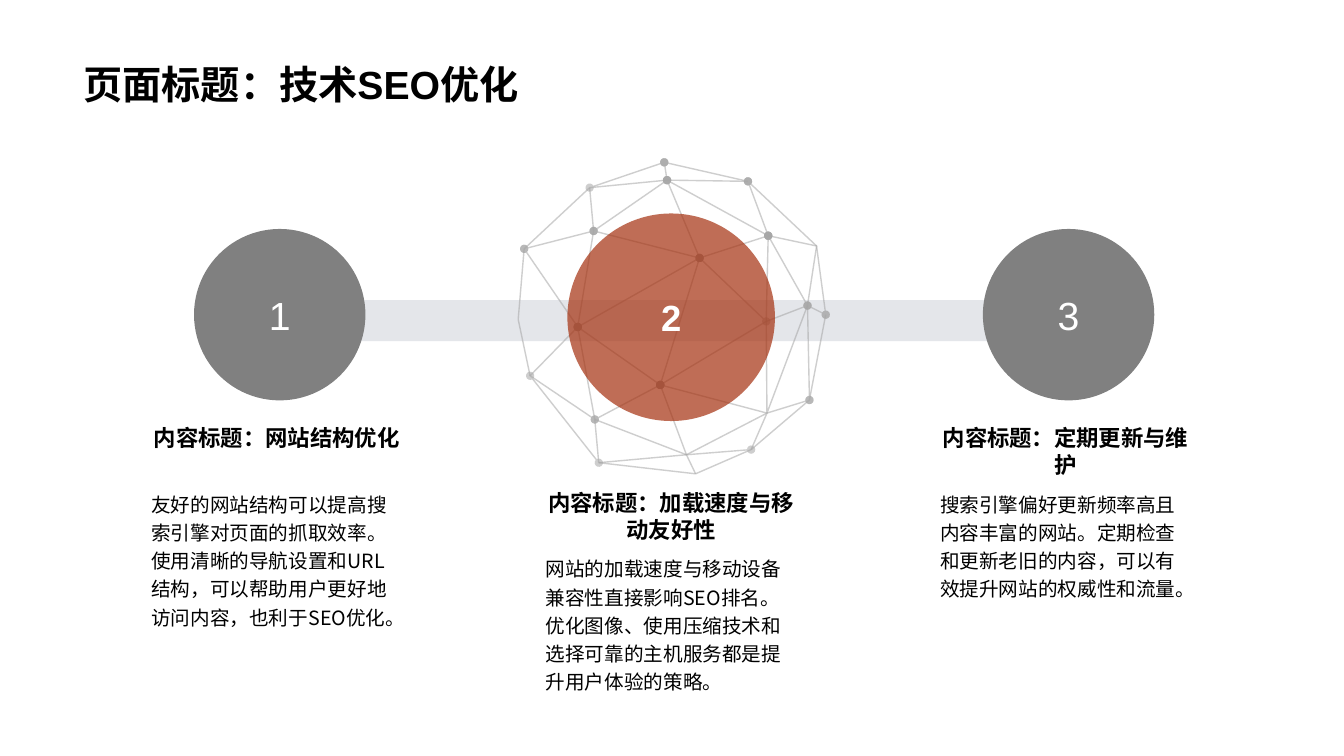
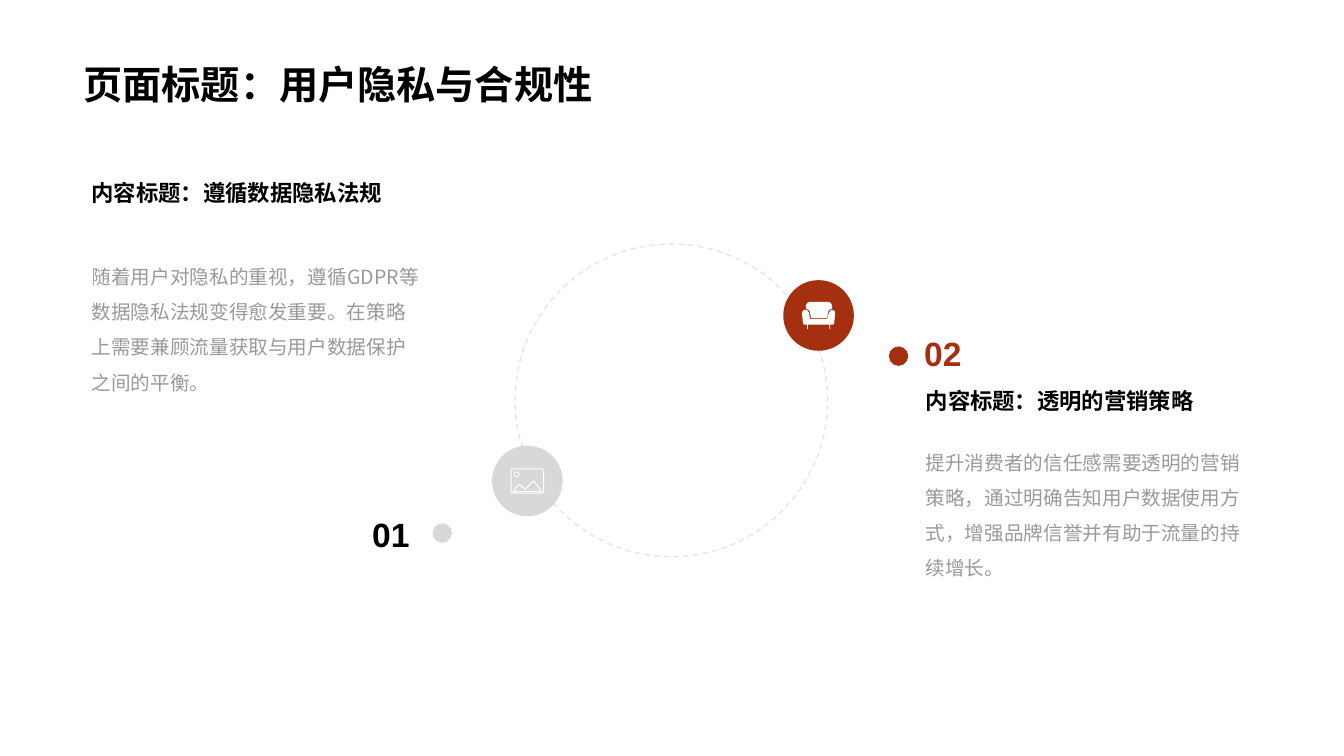
from lxml import etree
from pptx import Presentation
from pptx import util as u
from pptx.dml.color import RGBColor
from pptx.enum import dml, shapes, text
from pptx.oxml import ns

COLORS = {"ink": "000000", "white": "FFFFFF", "accent": "A5300F", "gray": "808080",
          "band": "E4E6EA", "mesh": "A6A6A6", "pale": "D8D8D8"}
LATIN, CJK = "Arial", "Noto Sans CJK SC"
LEFT, CENTER, RIGHT = text.PP_ALIGN.LEFT, text.PP_ALIGN.CENTER, text.PP_ALIGN.RIGHT
KIND = shapes.MSO_SHAPE

# Mesh points in cm from the top left of the mesh
MESH_POINTS = {
    "a": (3.68, 0), "b": (5.79, 0.48), "c": (7.52, 2.11), "d": (7.75, 3.84),
    "e": (7.34, 5.99), "f": (5.87, 7.24), "g": (4.47, 7.85), "h": (2.03, 7.57),
    "i": (0.3, 5.38), "j": (0, 3.96), "k": (0.15, 2.18), "l": (1.8, 0.64),
    "m": (3.75, 0.45), "n": (1.9, 1.73), "o": (1.5, 4.15), "p": (1.93, 6.48),
    "q": (3.58, 5.61), "r": (4.24, 7.37), "s": (4.57, 2.41), "t": (6.3, 1.85),
    "u": (6.25, 4.01), "v": (7.29, 3.61), "w": (6.27, 6.32)}
# Each strand runs through its points; a star marks an end with a dot
MESH_STRANDS = (
    "*ba* *dcb* hgfed *ih* kji *al* lmb oph lno* *qrg *msq* *am* lk *dv* *tb* *vt* *ev "
    "*qwe* *oq* *ko* *nk* *mn* *tm* vct *tuwv *st* *os* *pio* *qp* *vuq* *frh prwf "
    "*su* *ns*").split()

SOFA_SIZE = (0.84, 0.69)
SOFA_BACK = [(0.2, 0), (0.66, 0), (0.73, 0.03), (0.76, 0.1), (0.76, 0.18), (0.69, 0.2),
             (0.66, 0.25), (0.64, 0.41), (0.23, 0.41), (0.2, 0.25), (0.17, 0.2),
             (0.1, 0.18), (0.1, 0.1), (0.13, 0.03)]
SOFA_SEAT = [(0.08, 0.2), (0.14, 0.22), (0.18, 0.28), (0.2, 0.43), (0.64, 0.43),
             (0.68, 0.28), (0.72, 0.22), (0.76, 0.2), (0.82, 0.23), (0.84, 0.28),
             (0.81, 0.56), (0.76, 0.58), (0.71, 0.58), (0.71, 0.69), (0.69, 0.69),
             (0.69, 0.58), (0.15, 0.58), (0.15, 0.69), (0.13, 0.69), (0.13, 0.58),
             (0.08, 0.58), (0.03, 0.56), (0, 0.28), (0.02, 0.23)]
PHOTO_SIZE = (0.82, 0.61)
PHOTO_HILLS = [(0.05, 0.57), (0.2, 0.39), (0.36, 0.51), (0.57, 0.3), (0.77, 0.57)]


def rgb(name):
    return RGBColor.from_string(COLORS[name])


def set_opacity(element, percent):
    for color in element.iter(ns.qn("a:srgbClr")):
        etree.SubElement(color, ns.qn("a:alpha")).set("val", str(percent * 1000))


def paint(shape, fill=None, line=None, weight=1):
    if fill:
        shape.fill.solid()
        shape.fill.fore_color.rgb = rgb(fill)
    else:
        shape.fill.background()
    if line:
        shape.line.color.rgb = rgb(line)
        shape.line.width = u.Pt(weight)
    else:
        shape.line.fill.background()
    shape.shadow.inherit = False
    return shape


def write(frame, words, size, color="ink", bold=False, align=LEFT, spacing=1.0, opacity=None):
    frame.text = words
    frame.word_wrap = True
    paragraph = frame.paragraphs[0]
    paragraph.alignment = align
    paragraph.line_spacing = spacing
    run = paragraph.runs[0]
    font = run.font
    font.size, font.bold, font.color.rgb = u.Pt(size), bold, rgb(color)
    font.name = LATIN if words.isascii() else CJK
    etree.SubElement(run._r.get_or_add_rPr(), ns.qn("a:ea")).set("typeface", CJK)
    if opacity:
        set_opacity(run._r, opacity)
    return run


def add_words(slide, left, top, width, height, words, size, **style):
    box = slide.shapes.add_textbox(u.Cm(left), u.Cm(top), u.Cm(width), u.Cm(height))
    write(box.text_frame, words, size, **style)
    return box.text_frame


def add_block(parent, kind, left, top, width, height, **look):
    block = parent.shapes.add_shape(kind, u.Cm(left), u.Cm(top), u.Cm(width), u.Cm(height))
    return paint(block, **look)


def add_disc(parent, left, top, size, **look):
    return add_block(parent, KIND.OVAL, left, top, size, size, **look)


def add_outline(parent, left, top, points, close=True, **look):
    spots = [(u.Cm(left + x), u.Cm(top + y)) for x, y in points]
    builder = parent.shapes.build_freeform(*spots[0])
    builder.add_line_segments(spots[1:], close=close)
    return paint(builder.convert_to_shape(), **look)


def add_titled_slide(deck, title, latin):
    slide = deck.slides.add_slide(deck.slide_layouts[5])
    heading = slide.shapes.title
    heading.left, heading.top = u.Cm(1.85), u.Cm(0)
    heading.width, heading.height = u.Cm(30.15), u.Cm(2.84)
    frame = heading.text_frame
    frame.auto_size = text.MSO_AUTO_SIZE.NONE
    frame.vertical_anchor = text.MSO_ANCHOR.BOTTOM
    write(frame, title, 28, bold=True, spacing=0.9).font.name = latin
    return slide


def add_strand(mesh, left, top, strand):
    points = [MESH_POINTS[name] for name in strand.strip("*")]
    if len(points) == 2:
        ends = [u.Cm(v) for x, y in points for v in (left + x, top + y)]
        wire = mesh.shapes.add_connector(shapes.MSO_CONNECTOR.STRAIGHT, *ends)
        wire.line.color.rgb = rgb("mesh")
        wire.line.width = u.Pt(1)
        etree.SubElement(wire._element.spPr, ns.qn("a:effectLst"))
    else:
        wire = add_outline(mesh, left, top, points, close=False, line="mesh")
    line = wire.line._get_or_add_ln()
    set_opacity(line, 54)
    for tag, dotted in (("a:headEnd", strand.startswith("*")), ("a:tailEnd", strand.endswith("*"))):
        if dotted:
            etree.SubElement(line, ns.qn(tag)).set("type", "oval")


def add_mesh(slide, left, top):
    mesh = slide.shapes.add_group_shape()
    for strand in MESH_STRANDS:
        add_strand(mesh, left, top, strand)


def add_number_disc(slide, left, top, size, number, fill, font_size, bold=False):
    disc = add_disc(slide, left, top, size, fill=fill)
    disc.text_frame.vertical_anchor = text.MSO_ANCHOR.MIDDLE
    write(disc.text_frame, number, font_size, color="white", bold=bold, align=CENTER)
    return disc


def add_step_text(slide, left, top, heading, body):
    width = 6.83
    add_words(slide, left, top, width, 0.94, heading, 16, bold=True, align=CENTER)
    add_words(slide, left, top + 1.6, width, 2.34, body, 14, spacing=1.2)


def build_seo_slide(deck):
    slide = add_titled_slide(deck, "页面标题：技术SEO优化", LATIN)
    arrow = add_block(slide, KIND.RIGHT_ARROW, 7.82, 7.42, 19.4, 1.32, fill="band")
    arrow.adjustments[0], arrow.adjustments[1] = 0.78, 0.5
    first, pitch = 3.56, 9.94
    side_disc = dict(top=5.77, size=4.32, fill="gray", font_size=28)
    add_number_disc(slide, first + 1.33, number="1", **side_disc)
    add_mesh(slide, 13.06, 4.09)
    middle = add_number_disc(slide, 14.3, 5.38, 5.23, "2", "accent", 26, bold=True)
    set_opacity(middle._element.spPr, 70)
    add_number_disc(slide, first + 2 * pitch + 1.33, number="3", **side_disc)
    steps = [
        (10.57, "内容标题：网站结构优化",
         "友好的网站结构可以提高搜索引擎对页面的抓取效率。使用清晰的导航设置和URL结构，"
         "可以帮助用户更好地访问内容，也利于SEO优化。"),
        (12.2, "内容标题：加载速度与移动友好性",
         "网站的加载速度与移动设备兼容性直接影响SEO排名。优化图像、使用压缩技术和"
         "选择可靠的主机服务都是提升用户体验的策略。"),
        (10.57, "内容标题：定期更新与维护",
         "搜索引擎偏好更新频率高且内容丰富的网站。定期检查和更新老旧的内容，"
         "可以有效提升网站的权威性和流量。")]
    for index, (top, heading, body) in enumerate(steps):
        add_step_text(slide, first + index * pitch, top, heading, body)


def draw_photo(icon, left, top):
    look = dict(line="white", weight=0.75)
    frame = add_block(icon, KIND.ROUNDED_RECTANGLE, left, top, *PHOTO_SIZE, fill="pale", **look)
    frame.adjustments[0] = 0.08
    add_outline(icon, left, top, PHOTO_HILLS, **look)
    add_disc(icon, left + 0.08, top + 0.08, 0.12, **look)


def draw_sofa(icon, left, top):
    for part in (SOFA_BACK, SOFA_SEAT):
        add_outline(icon, left, top, part, fill="white")


def add_icon_disc(slide, left, top, fill, draw, icon_size):
    size = 1.78
    icon = slide.shapes.add_group_shape()
    add_disc(icon, left, top, size, fill=fill)
    draw(icon, left + (size - icon_size[0]) / 2, top + (size - icon_size[1]) / 2)


def add_policy_text(slide, left, top, body_drop, heading, body):
    width = 8.77
    add_words(slide, left, top, width, 0.94, heading, 16, bold=True)
    add_words(slide, left, top + body_drop, width, 4.65, body, 14, spacing=1.5, opacity=40)


def add_marker(slide, left, top, number, color, align, dot_left, dot_top, dot_color):
    frame = add_words(slide, left, top, 8.3, 1.27, number, 24, color=color, bold=True, align=align)
    frame.vertical_anchor = text.MSO_ANCHOR.MIDDLE
    add_disc(slide, dot_left, dot_top, 0.49, fill=dot_color)


def build_privacy_slide(deck):
    slide = add_titled_slide(deck, "页面标题：用户隐私与合规性", CJK)
    ring = add_disc(slide, 12.98, 6.15, 7.88, line="gray")
    ring.line.dash_style = dml.MSO_LINE.DASH
    set_opacity(ring.line._get_or_add_ln(), 20)
    add_policy_text(slide, 2.06, 4.39, 1.86, "内容标题：遵循数据隐私法规",
                    "随着用户对隐私的重视，遵循GDPR等数据隐私法规变得愈发重要。"
                    "在策略上需要兼顾流量获取与用户数据保护之间的平衡。")
    add_policy_text(slide, 23.08, 9.63, 1.3, "内容标题：透明的营销策略",
                    "提升消费者的信任感需要透明的营销策略，通过明确告知用户数据使用方式，"
                    "增强品牌信誉并有助于流量的持续增长。")
    add_marker(slide, 2.27, 12.83, "01", "ink", RIGHT, 10.9, 13.19, "pale")
    add_marker(slide, 23.04, 8.25, "02", "accent", LEFT, 22.4, 8.73, "accent")
    add_icon_disc(slide, 12.4, 11.23, "pale", draw_photo, PHOTO_SIZE)
    add_icon_disc(slide, 19.74, 7.06, "accent", draw_sofa, SOFA_SIZE)


def main():
    deck = Presentation()
    deck.slide_width, deck.slide_height = u.Cm(33.87), u.Cm(19.05)
    build_seo_slide(deck)
    build_privacy_slide(deck)
    deck.save("out.pptx")


if __name__ == "__main__":
    main()
